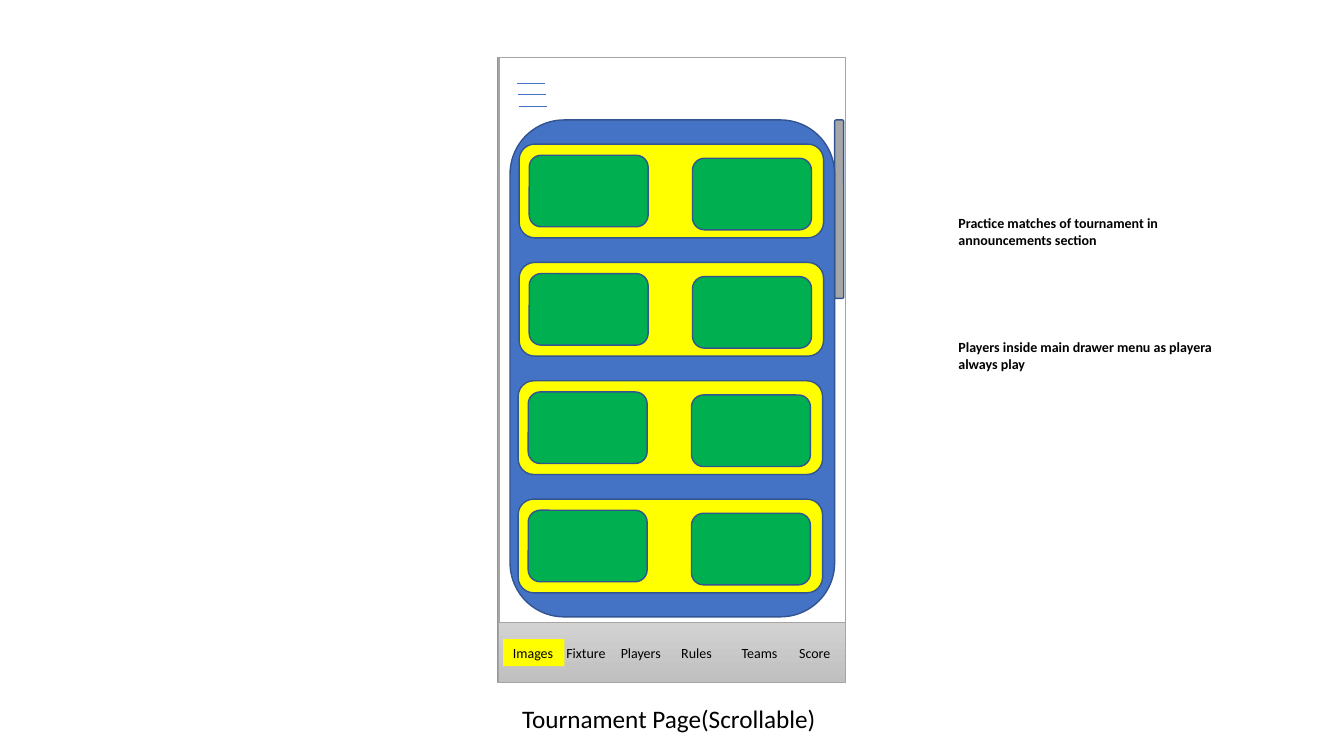
from dataclasses import dataclass
from typing import Optional

from lxml.etree import SubElement
from pptx import Presentation
from pptx.dml.color import RGBColor
from pptx.enum.shapes import MSO_CONNECTOR, MSO_SHAPE
from pptx.enum.text import MSO_AUTO_SIZE, PP_ALIGN
from pptx.oxml.ns import qn
from pptx.util import Inches, Pt

CELL = 0.1  # inches per grid column and row
COLUMNS, ROWS = 133.33, 75


@dataclass(frozen=True)
class Theme:
    font: str = "Calibri"
    caption_size: float = 18
    label_size: float = 10
    black: str = "000000"
    white: str = "FFFFFF"
    orange: str = "ED7D31"
    blue: str = "4472C4"
    outline: str = "325491"
    yellow: str = "FFFF00"
    green: str = "00B050"
    scrollbar: str = "A6A6A6"
    border: str = "A5A5A5"
    bar_top: str = "D2D2D2"
    bar_bottom: str = "C0C0C0"
    thin: float = 0.5
    thick: float = 1


THEME = Theme()


@dataclass(frozen=True)
class Area:
    """A rectangle in grid columns and rows."""
    column: float
    row: float
    width: float
    height: float

    def lengths(self) -> list:
        return [grid(value) for value in (self.column, self.row, self.width, self.height)]


@dataclass(frozen=True)
class Label:
    text: str
    area: Area
    size: float = THEME.label_size
    bold: bool = False
    centred: bool = False
    right_inset: float = 1
    fill: Optional[str] = None


def grid(cells: float) -> int:
    return Inches(cells * CELL)


def tab(text: str, column: float, width: float, fill: Optional[str] = None) -> Label:
    return Label(text, Area(column, 63.4, width, 2.7), right_inset=0, fill=fill)


PHONE = Area(49.4, 5.7, 34.5, 62)
SCREEN = Area(49.5, 5.7, 34.4, 62)
TAB_BAR = Area(49.4, 61.7, 34.5, 6)
SCROLLBAR = Area(82.8, 11.9, 0.9, 17.7)
CARD_PANEL = Area(50.6, 11.9, 32.2, 49.3)

MENU_LINES = [(51.3, 8.3), (51.4, 9.4), (51.5, 10.6)]
MENU_LINE_WIDTH = 2.8
CARD_COLUMNS = [51.5, 51.5, 51.4, 51.4]
FIRST_CARD_ROW, CARD_STEP = 14.3, 11.74
TILE_OFFSETS = [(1, 1.1), (17.2, 1.4)]

TABS = [
    tab("Images", 49.9, 6.1, THEME.yellow),
    tab("Fixture", 55.2, 6),
    tab("Players", 60.6, 6.1),
    tab("Rules", 66.6, 7.9),
    tab("Teams", 72.6, 6),
    tab("Score", 78.3, 5.3),
]
NOTES = [
    Label("Practice matches of tournament in announcements section",
          Area(94.1, 20.8, 29.9, 4.4), bold=True),
    Label("Players inside main drawer menu as playera always play",
          Area(94.1, 33.1, 29.9, 4.4), bold=True),
]
CAPTION = Label("Tournament Page(Scrollable)", Area(44.3, 69.3, 44.1, 4),
                size=THEME.caption_size, centred=True)


def add_box(shapes, area: Area, fill: str, line: str, width: float = THEME.thick,
            kind=MSO_SHAPE.ROUNDED_RECTANGLE):
    shape = shapes.add_shape(kind, *area.lengths())
    shape.shadow.inherit = False
    shape.fill.solid()
    shape.fill.fore_color.rgb = RGBColor.from_string(fill)
    shape.line.color.rgb = RGBColor.from_string(line)
    shape.line.width = Pt(width)
    return shape


def add_label(shapes, label: Label) -> None:
    box = shapes.add_textbox(*label.area.lengths())
    if label.fill:
        box.fill.solid()
        box.fill.fore_color.rgb = RGBColor.from_string(label.fill)
    text_frame = box.text_frame
    text_frame.word_wrap = True
    text_frame.auto_size = MSO_AUTO_SIZE.SHAPE_TO_FIT_TEXT
    text_frame.margin_right = grid(label.right_inset)
    text_frame.text = label.text
    paragraph = text_frame.paragraphs[0]
    paragraph.alignment = PP_ALIGN.CENTER if label.centred else PP_ALIGN.LEFT
    font = paragraph.runs[0].font
    font.name, font.size, font.bold = THEME.font, Pt(label.size), label.bold
    font.color.rgb = RGBColor.from_string(THEME.black)


def add_menu_icon(shapes) -> None:
    for column, row in MENU_LINES:
        line = shapes.add_connector(MSO_CONNECTOR.STRAIGHT, grid(column), grid(row),
                                    grid(column + MENU_LINE_WIDTH), grid(row))
        line.line.color.rgb = RGBColor.from_string(THEME.blue)
        line.line.width = Pt(THEME.thin)
        SubElement(line._element.spPr, qn("a:effectLst"))


def add_tab_bar(shapes) -> None:
    bar = add_box(shapes, TAB_BAR, THEME.bar_top, THEME.border, THEME.thin,
                  MSO_SHAPE.RECTANGLE)
    bar.fill.gradient()
    bar.fill.gradient_angle = 270
    for stop, color in zip(bar.fill.gradient_stops, (THEME.bar_top, THEME.bar_bottom)):
        stop.color.rgb = RGBColor.from_string(color)
    for label in TABS:
        add_label(shapes, label)


def add_cards(shapes) -> None:
    """Draw the blue panel with its yellow cards, two green tiles on each."""
    group = shapes.add_group_shape().shapes
    add_box(group, CARD_PANEL, THEME.blue, THEME.outline)
    for index, column in enumerate(CARD_COLUMNS):
        row = FIRST_CARD_ROW + index * CARD_STEP
        add_box(group, Area(column, row, 30.2, 9.3), THEME.yellow, THEME.outline)
        for across, down in TILE_OFFSETS:
            add_box(group, Area(column + across, row + down, 11.8, 7.1),
                    THEME.green, THEME.outline)


def main() -> None:
    presentation = Presentation()
    presentation.slide_width, presentation.slide_height = grid(COLUMNS), grid(ROWS)
    slide = presentation.slides.add_slide(presentation.slide_layouts[6])
    shapes = slide.shapes
    add_box(shapes, PHONE, THEME.white, THEME.orange, kind=MSO_SHAPE.RECTANGLE)
    add_box(shapes, SCREEN, THEME.white, THEME.border, kind=MSO_SHAPE.RECTANGLE)
    add_menu_icon(shapes)
    add_label(shapes, CAPTION)
    add_tab_bar(shapes)
    add_box(shapes, SCROLLBAR, THEME.scrollbar, THEME.outline)
    for note in NOTES:
        add_label(shapes, note)
    add_cards(shapes)
    presentation.save("out.pptx")


if __name__ == "__main__":
    main()
